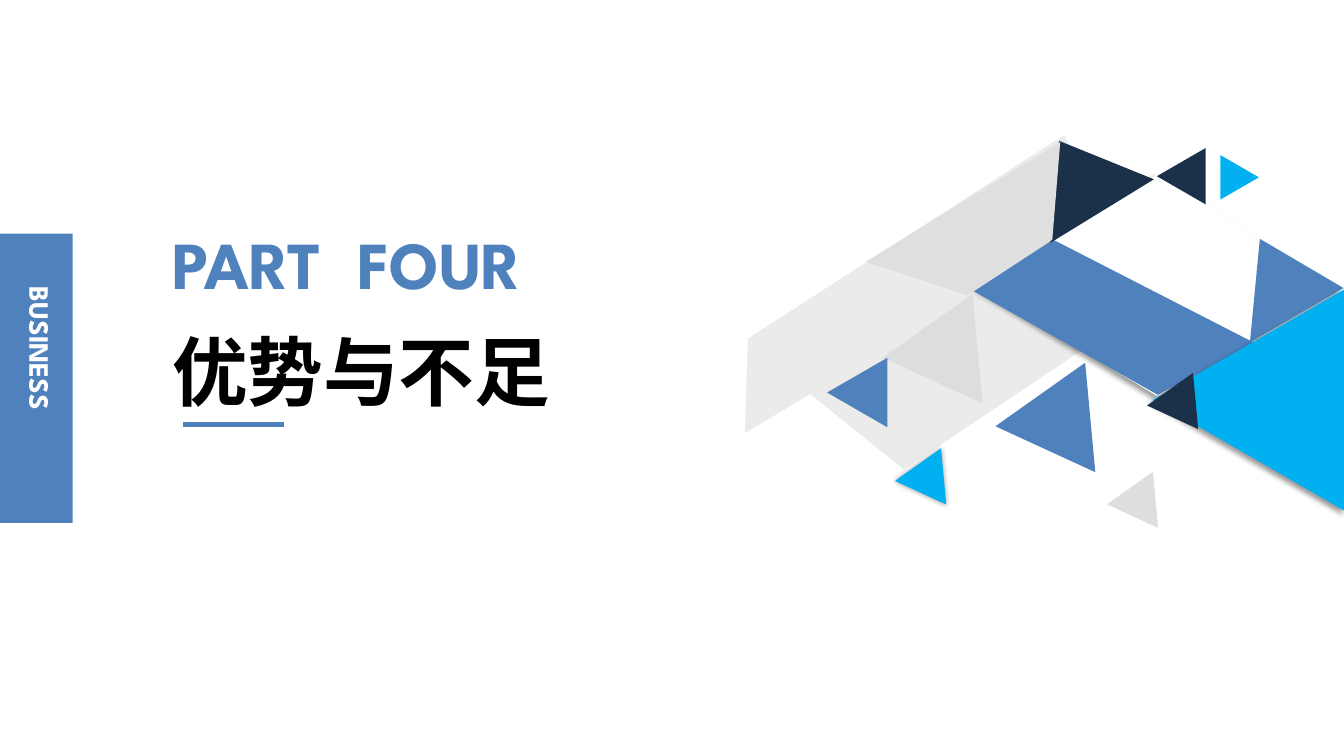
from math import sqrt

from lxml import etree
from pptx import Presentation
from pptx import util as u
from pptx.dml.color import RGBColor
from pptx.enum import shapes, text
from pptx.oxml.ns import qn

COLOURS = {
    "blue": "4F81BD", "cyan": "00B0F0", "navy": "1B3049", "white": "FFFFFF",
    "black": "000000", "grey": "DFDFDF", "shade": "D9D9D9", "pale": "DEDEDE",
}
LATIN = "League Spartan"
CHINESE = "Noto Sans CJK SC"


def colour(name):
    return RGBColor.from_string(COLOURS[name])


def paint(shape, fill, opacity=100, shadow=None):
    shape.shadow.inherit = False
    shape.fill.solid()
    shape.fill.fore_color.rgb = colour(fill)
    shape.line.fill.background()
    properties = shape._element.spPr
    if opacity < 100:
        tint = properties.find(qn("a:solidFill"))[0]
        etree.SubElement(tint, qn("a:alpha"), val=str(opacity * 1000))
    if shadow:
        distance, direction = shadow
        outer = etree.SubElement(
            properties.find(qn("a:effectLst")), qn("a:outerShdw"),
            blurRad=str(u.Pt(4)), dist=str(u.Pt(distance)),
            dir=str(direction * 60000), algn="ctr", rotWithShape="0")
        tint = etree.SubElement(outer, qn("a:srgbClr"), val=COLOURS["black"])
        etree.SubElement(tint, qn("a:alpha"), val="40000")


def add_label(slide, box, wording, size, fill, font_name=LATIN):
    label = slide.shapes.add_textbox(*map(u.Cm, box))
    frame = label.text_frame
    frame.word_wrap = True
    frame.auto_size = text.MSO_AUTO_SIZE.SHAPE_TO_FIT_TEXT
    paragraph = frame.paragraphs[0]
    paragraph.text = wording
    font = paragraph.font
    font.size, font.bold, font.name = u.Pt(size), True, font_name
    font.color.rgb = colour(fill)
    etree.SubElement(font._rPr, qn("a:ea"), typeface=font_name)
    return frame


def add_side_tab(slide, left, top, width, height):
    tab = slide.shapes.add_shape(
        shapes.MSO_SHAPE.RECTANGLE, *map(u.Cm, (left, top, width, height)))
    paint(tab, "blue")
    frame = add_label(slide, (left + 0.2, top + 1.09, 1.37, 5.44), "BUSINESS", 20, "white")
    frame._txBody.bodyPr.set("vert", "eaVert")
    frame.paragraphs[0].alignment = text.PP_ALIGN.JUSTIFY


def add_heading(slide, left, top, width):
    add_label(slide, (left, top, width, 2.31), "PART  FOUR", 48, "blue")
    add_label(slide, (left, top + 2.57, width, 2.57), "优势与不足", 54, "black", CHINESE)
    start, level = left + 0.53, top + 5.21
    rule = slide.shapes.add_connector(
        shapes.MSO_CONNECTOR.STRAIGHT, *map(u.Cm, (start, level, start + 2.54, level)))
    rule.line.color.rgb = colour("blue")
    rule.line.width = u.Pt(3.25)
    etree.SubElement(rule._element.spPr, qn("a:effectLst"))


def add_shards(slide, left, top):
    def polygon(points, *style):
        corners = [(u.Cm(left + x), u.Cm(top + y)) for x, y in points]
        builder = slide.shapes.build_freeform(*corners[0])
        builder.add_line_segments(corners[1:], close=True)
        paint(builder.convert_to_shape(), *style)

    def triangle(centre_x, centre_y, side, rotation, *style):
        height = side * sqrt(3) / 2
        shape = slide.shapes.add_shape(
            shapes.MSO_SHAPE.ISOSCELES_TRIANGLE,
            u.Cm(left + centre_x - side / 2), u.Cm(top + centre_y - height / 2),
            u.Cm(side), u.Cm(height))
        shape.rotation = rotation
        paint(shape, *style)

    tilt, small, large = 144.7, 1.42, 2.77
    polygon([(4.01, 8.43), (1.65, 6.53), (0, 7.52), (0.08, 5.13), (8.05, 0), (10.19, 4.29)],
            "grey", 60)
    triangle(5.3, 5.79, large, tilt, "shade", 73)
    triangle(4.72, 8.81, small, tilt, "cyan", 100, (0, 50))
    triangle(10.06, 9.4, small, tilt, "pale")
    polygon([(5.87, 3.86), (10.39, 0.99), (15.04, 3.89), (10.39, 6.58)],
            "white", 100, (3, 135))
    polygon([(10.41, 6.55), (5.77, 3.94), (7.77, 2.64), (12.88, 5.26)], "blue")
    polygon([(12.73, 5.23), (12.98, 2.62), (15.09, 3.86)], "blue")
    triangle(12.7, 6.68, 5.59, 270, "cyan", 100, (3, 135))
    triangle(11.07, 6.91, small, tilt, "navy")
    triangle(11, 1.04, small, 270, "navy")
    triangle(12.47, 1.07, 1.12, 90, "cyan")
    polygon([(7.7, 2.72), (7.92, 0.15), (10.31, 1.12)], "navy")
    polygon([(7.95, 0.18), (7.75, 2.64), (5.61, 4.04), (3.05, 3.2)], "grey")
    triangle(8.14, 7.52, large, tilt, "blue")
    triangle(3.21, 6.71, 1.75, 150, "blue")


def main():
    """Build the section slide and save it."""
    presentation = Presentation()
    presentation.slide_width, presentation.slide_height = u.Cm(33.87), u.Cm(19.05)
    slide = presentation.slides.add_slide(presentation.slide_layouts[6])
    add_side_tab(slide, 0, 5.89, 1.83, 7.29)
    add_heading(slide, 4.09, 5.49, 12.07)
    add_shards(slide, 18.77, 3.4)
    presentation.save("out.pptx")


main()
